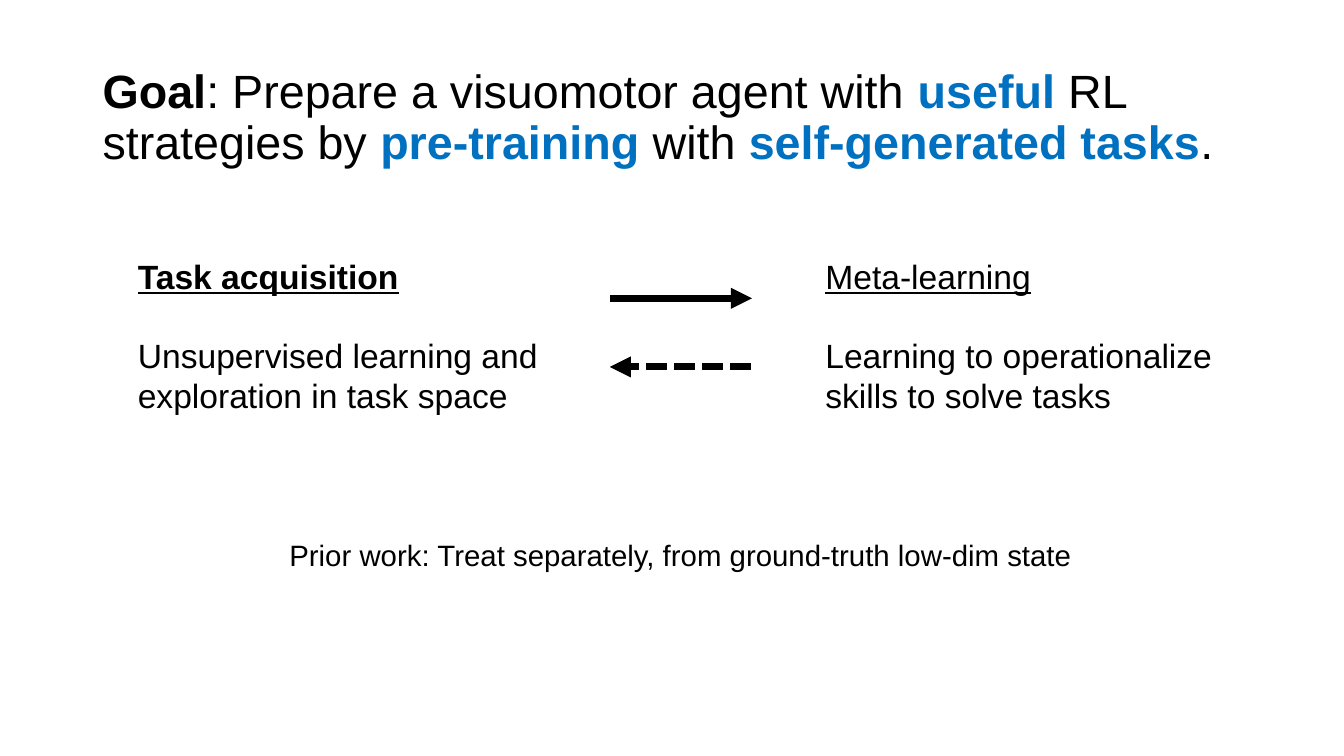
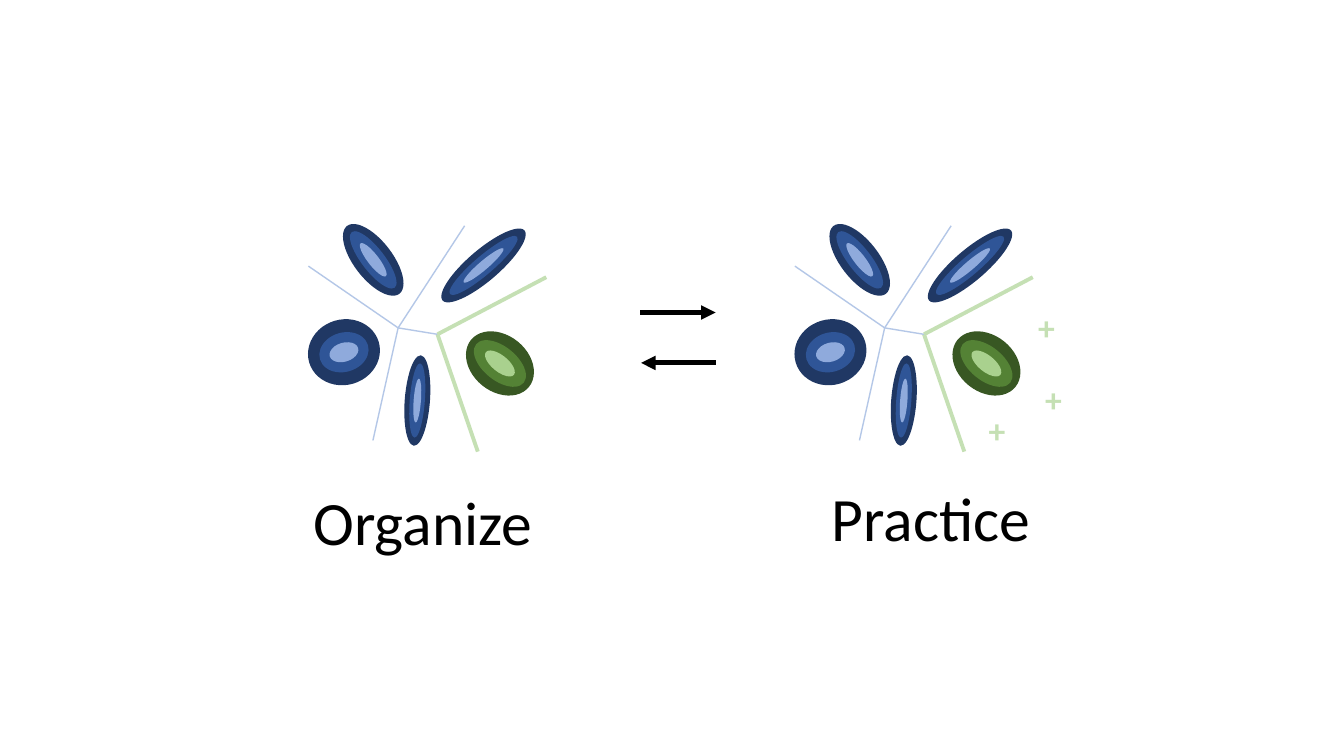
from pptx import Presentation
from pptx.dml.color import RGBColor
from pptx.enum.dml import MSO_LINE
from pptx.enum.shapes import MSO_CONNECTOR, MSO_SHAPE
from pptx.enum.text import MSO_ANCHOR, PP_ALIGN
from pptx.oxml.ns import qn
from pptx.util import Pt
from lxml import etree

STRAIGHT = MSO_CONNECTOR.STRAIGHT
OVAL = MSO_SHAPE.OVAL
SYSTEM_DASH = MSO_LINE.SQUARE_DOT
LEFT, CENTER = PP_ALIGN.LEFT, PP_ALIGN.CENTER
TOP, MIDDLE = MSO_ANCHOR.TOP, MSO_ANCHOR.MIDDLE

COLORS = {
    "black": "000000",
    "accent": "0070C0",
    "blue line": "B4C7E7",
    "green line": "C5E0B4",
}
LAYERS = {
    "blue": ("203864", "2F5597", "8FAADC"),
    "green": ("385723", "548235", "A9D18E"),
}

PLAIN = {}
BOLD = {"bold": True}
HIGHLIGHT = {"bold": True, "color": "accent"}
UNDERLINED = {"underline": True}

GOAL = [
    ("Goal", BOLD),
    (": Prepare a visuomotor agent with ", PLAIN),
    ("useful ", HIGHLIGHT),
    ("RL strategies by ", PLAIN),
    ("pre-training", HIGHLIGHT),
    (" with ", PLAIN),
    ("self-generated tasks", HIGHLIGHT),
    (".", PLAIN),
]
COLUMNS = [
    (91.4, "Task acquisition", {"bold": True, "underline": True},
     "Unsupervised learning and exploration in task space"),
    (582.5, "Meta-learning", UNDERLINED,
     "Learning to operationalize skills to solve tasks"),
]
PRIOR_WORK = "Prior work: Treat separately, from ground-truth low-dim state"
GOAL_ARROWS = [
    ((435.6, 213.1), (537.1, 213.1), None),
    ((536.4, 262.1), (435.6, 262.1), SYSTEM_DASH),
]

HUB, BRANCH = (284.4, 234.2), (312.5, 238.8)
BORDERS = [
    ((220.3, 190.1), HUB, "blue line", 1),
    ((266.4, 314.6), HUB, "blue line", 1),
    (HUB, (331.9, 161.3), "blue line", 1),
    ((341.3, 322.6), BRANCH, "green line", 2.75),
    (HUB, BRANCH, "blue line", 1),
    (BRANCH, (390.2, 198), "green line", 2.75),
]
CLUSTERS = [
    ((266.6, 185.6), (61.2, 27.4), 232.3, "blue", 0.82),
    ((345.4, 189.6), (77, 22.3), 319.5, "blue", 0.82),
    ((357.1, 259.6), (53.3, 40.3), 219, "green", 0.82),
    ((298.1, 286.1), (64.8, 18), 274.3, "blue", 0.82),
    ((245.7, 251.6), (51.8, 46.8), 343.6, "blue", 0.69),
]
MIDDLE_HEIGHT, CORE_WIDTH, CORE_HEIGHT = 0.6, 0.59, 0.29
DIAGRAM_SHIFTS = (0, 347.5)
DIAGRAM_LABELS = [
    ("Organize", 216.7, 323.3, LEFT),
    ("Practice", 573.1, 320.4, CENTER),
]
PLUS_POSITIONS = [(739.4, 267.1), (699.1, 289.4), (734.4, 216)]
CYCLE_ARROWS = [
    ((457.2, 223.2), (511.2, 223.2)),
    ((511.2, 259.2), (457.9, 259.2)),
]


def add_text(slide, box, paragraphs, size, font="Arial", align=LEFT,
             anchor=TOP, line_spacing=None, gap=0):
    text_box = slide.shapes.add_textbox(*(Pt(value) for value in box))
    frame = text_box.text_frame
    frame.word_wrap = True
    frame.vertical_anchor = anchor
    for index, runs in enumerate(paragraphs):
        paragraph = frame.add_paragraph() if index else frame.paragraphs[0]
        paragraph.alignment = align
        if line_spacing:
            paragraph.line_spacing = line_spacing
        if index:
            paragraph.space_before = Pt(gap)
        for text, style in runs:
            run = paragraph.add_run()
            run.text = text
            run.font.name = font
            run.font.size = Pt(size)
            run.font.bold = style.get("bold", False)
            run.font.underline = style.get("underline", False)
            color = COLORS[style.get("color", "black")]
            run.font.color.rgb = RGBColor.from_string(color)


def add_line(shapes, start, end, color, width, dash=None, arrow=False):
    connector = shapes.add_connector(
        STRAIGHT, *(Pt(value) for value in (*start, *end)))
    connector.line.color.rgb = RGBColor.from_string(COLORS[color])
    connector.line.width = Pt(width)
    if dash:
        connector.line.dash_style = dash
    properties = connector._element.spPr
    if arrow:
        etree.SubElement(properties.find(qn("a:ln")), qn("a:tailEnd"),
                         type="triangle")
    etree.SubElement(properties, qn("a:effectLst"))


def add_cluster(shapes, center, size, rotation, palette, middle_width):
    scales = [(1, 1), (middle_width, MIDDLE_HEIGHT),
              (middle_width * CORE_WIDTH, CORE_HEIGHT)]
    for color, (scale_x, scale_y) in zip(LAYERS[palette], scales):
        width, height = size[0] * scale_x, size[1] * scale_y
        ellipse = shapes.add_shape(
            OVAL, Pt(center[0] - width / 2), Pt(center[1] - height / 2),
            Pt(width), Pt(height))
        ellipse.rotation = rotation
        ellipse.shadow.inherit = False
        ellipse.fill.solid()
        ellipse.fill.fore_color.rgb = RGBColor.from_string(color)
        ellipse.line.fill.background()


def add_diagram(slide, shift):
    shapes = slide.shapes.add_group_shape().shapes
    for start, end, color, width in BORDERS:
        add_line(shapes, (start[0] + shift, start[1]),
                 (end[0] + shift, end[1]), color, width)
    for center, *details in CLUSTERS:
        add_cluster(shapes, (center[0] + shift, center[1]), *details)


def build_goal_slide(slide):
    add_text(slide, (66.2, 45.4, 828, 95.8), [GOAL], 33.3, line_spacing=0.9)
    for left, heading, style, description in COLUMNS:
        add_text(slide, (left, 179.3, 316.8, 152),
                 [[(heading, style)], [(description, PLAIN)]], 24, gap=27.6)
    for start, end, dash in GOAL_ARROWS:
        add_line(slide.shapes, start, end, "black", 5, dash, arrow=True)
    add_text(slide, (175.7, 380.2, 620.6, 32.4), [[(PRIOR_WORK, PLAIN)]], 21,
             align=CENTER)


def build_cycle_slide(slide):
    for shift in DIAGRAM_SHIFTS:
        add_diagram(slide, shift)
    for label, left, top, align in DIAGRAM_LABELS:
        add_text(slide, (left, top, 183.6, 104.4), [[(label, PLAIN)]], 44,
                 "Calibri", align, MIDDLE, 0.9)
    plus_style = {"bold": True, "color": "green line"}
    for left, top in PLUS_POSITIONS:
        add_text(slide, (left, top, 28.1, 36), [[("+", plus_style)]], 24,
                 "Calibri")
    for start, end in CYCLE_ARROWS:
        add_line(slide.shapes, start, end, "black", 3.5, arrow=True)


def main():
    presentation = Presentation()
    presentation.slide_width, presentation.slide_height = Pt(960), Pt(540)
    blank = presentation.slide_layouts[6]
    for build in (build_goal_slide, build_cycle_slide):
        build(presentation.slides.add_slide(blank))
    presentation.save("out.pptx")


if __name__ == "__main__":
    main()
